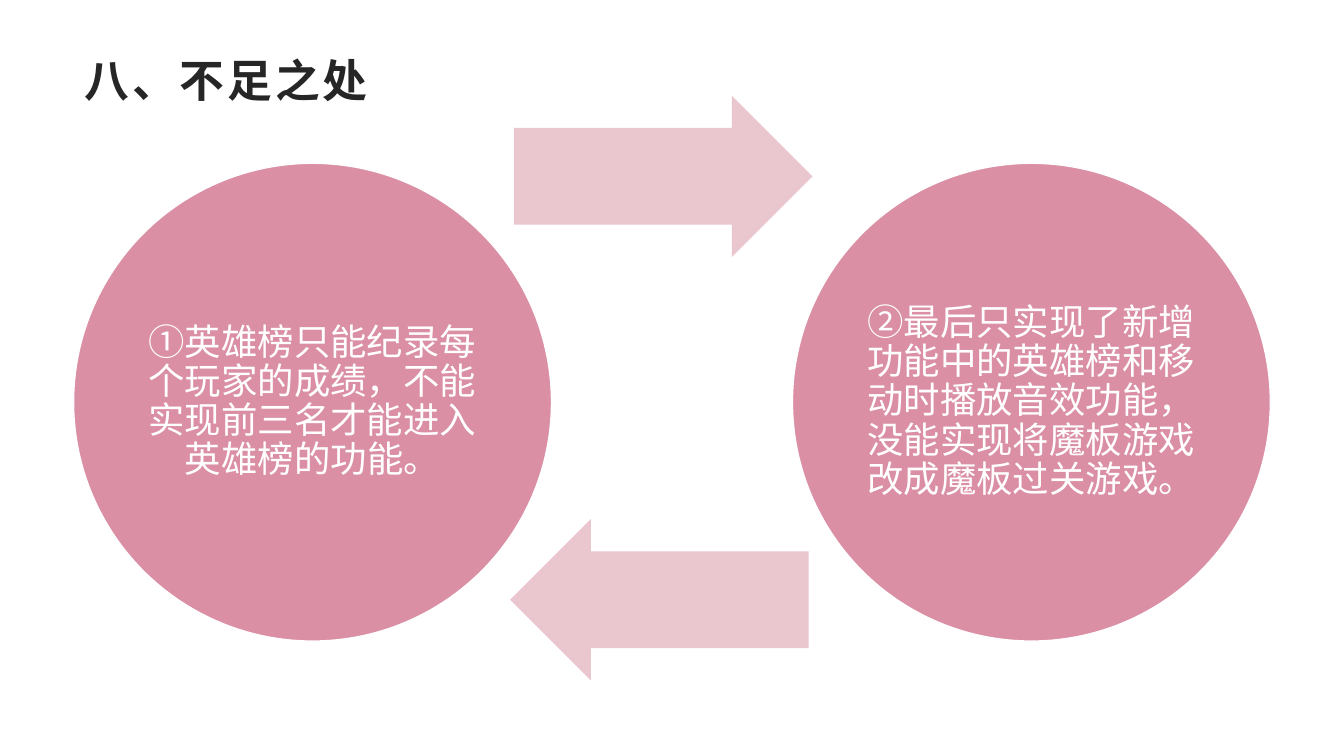
from dataclasses import dataclass

from pptx import Presentation
from pptx.dml.color import RGBColor
from pptx.enum.shapes import MSO_SHAPE as Geo
from pptx.enum.text import MSO_ANCHOR as Anchor, PP_ALIGN as Align
from pptx.slide import Slide
from pptx.text.text import TextFrame
from pptx.util import Inches, Pt

FONT = "Arial"
INK = RGBColor(0x26, 0x26, 0x26)
WHITE = RGBColor(0xFF, 0xFF, 0xFF)
ROSE = RGBColor(0xDA, 0x8F, 0xA5)
BLUSH = RGBColor(0xEA, 0xC6, 0xCF)


@dataclass(frozen=True)
class Circle:
    left: float
    text: str


@dataclass(frozen=True)
class Arrow:
    left: float
    top: float
    turn: float


CIRCLES = [
    Circle(0.73, "①英雄榜只能纪录每个玩家的成绩，不能实现前三名才能进入英雄榜的功能。"),
    Circle(7.86, "②最后只实现了新增功能中的英雄榜和移动时播放音效功能，"
                 "没能实现将魔板游戏改成魔板过关游戏。"),
]
ARROWS = [Arrow(5.1, 0.95, 0), Arrow(5.06, 5.15, 180)]


def pad(frame: TextFrame, left: float, right: float, edge: float) -> None:
    frame.word_wrap = True
    frame.margin_left, frame.margin_right = Inches(left), Inches(right)
    frame.margin_top = frame.margin_bottom = Inches(edge)


def add_run(frame: TextFrame, text: str, size: int, color: RGBColor):
    run = frame.paragraphs[0].add_run()
    run.text = text
    run.font.name = FONT
    run.font.size = Pt(size)
    run.font.color.rgb = color
    return run


def add_title(slide: Slide, text: str) -> None:
    box = slide.shapes.add_textbox(Inches(0.73), Inches(0.48), Inches(11.87), Inches(0.48))
    frame = box.text_frame
    pad(frame, 0.11, 0.08, 0.04)
    run = add_run(frame, text, 32, INK)
    run.font.bold = True
    run.font._element.set("spc", "200")  # letter spacing of 2 pt


def add_circle(slide: Slide, item: Circle) -> None:
    size = Inches(4.74)
    disc = slide.shapes.add_shape(Geo.OVAL, Inches(item.left), Inches(1.62), size, size)
    disc.shadow.inherit = False
    disc.fill.solid()
    disc.fill.fore_color.rgb = ROSE
    disc.line.color.rgb = WHITE
    disc.line.width = Pt(1)
    frame = disc.text_frame
    pad(frame, 0.03, 0.03, 0.04)
    frame.vertical_anchor = Anchor.MIDDLE
    para = frame.paragraphs[0]
    para.alignment = Align.CENTER
    para.line_spacing = 0.9
    para.space_after = Pt(9)
    add_run(frame, item.text, 26, WHITE)


def add_arrow(slide: Slide, item: Arrow) -> None:
    shape = slide.shapes.add_shape(
        Geo.RIGHT_ARROW, Inches(item.left), Inches(item.top), Inches(2.96), Inches(1.6))
    shape.rotation = item.turn
    shape.adjustments[0] = 0.6
    shape.adjustments[1] = 0.5
    shape.shadow.inherit = False
    shape.fill.solid()
    shape.fill.fore_color.rgb = BLUSH
    shape.line.fill.background()


def main() -> None:
    deck = Presentation()
    deck.slide_width, deck.slide_height = Inches(13.33), Inches(7.5)
    slide = deck.slides.add_slide(deck.slide_layouts[6])

    # Heading
    add_title(slide, "八、不足之处")

    # Cycle: each circle is followed by the arrow to the next
    for circle, arrow in zip(CIRCLES, ARROWS):
        add_circle(slide, circle)
        add_arrow(slide, arrow)

    deck.save("out.pptx")


if __name__ == "__main__":
    main()
